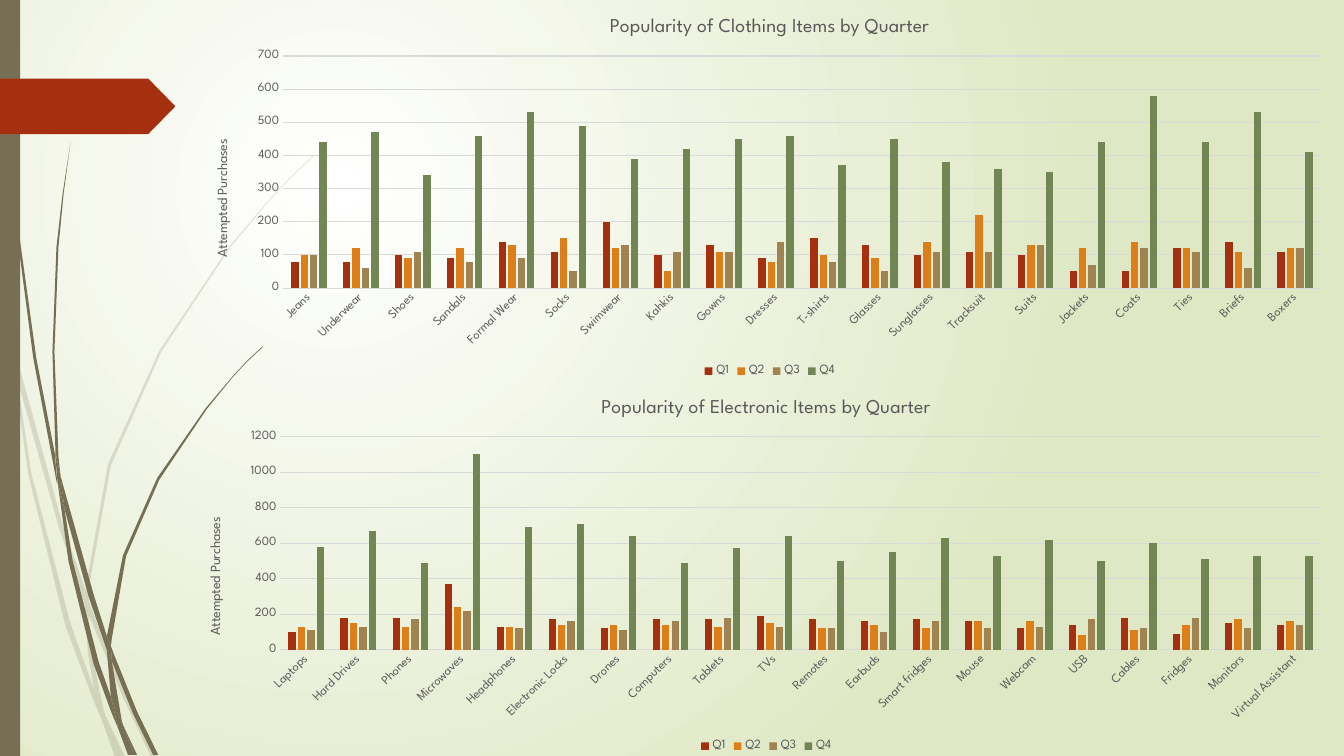
from lxml.etree import SubElement
from pptx import Presentation
from pptx.chart.data import CategoryChartData
from pptx.dml.color import RGBColor
from pptx.enum.chart import XL_CHART_TYPE, XL_LEGEND_POSITION, XL_TICK_MARK
from pptx.enum.shapes import MSO_SHAPE
from pptx.oxml import parse_xml
from pptx.oxml.ns import nsdecls, qn
from pptx.util import Inches, Pt

COLORS = {
    "white": "FFFFFF", "pale green": "DFE8C4", "stem": "766F54",
    "red": "A53010", "text": "595959", "grid": "D9D9D9",
    "Q1": "A53010", "Q2": "DE7E18", "Q3": "9F8351", "Q4": "728653",
}

CLOTHING = {
    "Jeans": (80, 100, 100, 440), "Underwear": (80, 120, 60, 470),
    "Shoes": (100, 90, 110, 340), "Sandals": (90, 120, 80, 460),
    "Formal Wear": (140, 130, 90, 530), "Socks": (110, 150, 50, 490),
    "Swimwear": (200, 120, 130, 390), "Kahkis": (100, 50, 110, 420),
    "Gowns": (130, 110, 110, 450), "Dresses": (90, 80, 140, 460),
    "T-shirts": (150, 100, 80, 370), "Glasses": (130, 90, 50, 450),
    "Sunglasses": (100, 140, 110, 380), "Tracksuit": (110, 220, 110, 360),
    "Suits": (100, 130, 130, 350), "Jackets": (50, 120, 70, 440),
    "Coats": (50, 140, 120, 580), "Ties": (120, 120, 110, 440),
    "Briefs": (140, 110, 60, 530), "Boxers": (110, 120, 120, 410),
}
ELECTRONICS = {
    "Laptops": (100, 130, 110, 580), "Hard Drives": (180, 150, 130, 670),
    "Phones": (180, 130, 170, 490), "Microwaves": (370, 240, 220, 1100),
    "Headphones": (130, 130, 120, 690), "Electronic Locks": (170, 140, 160, 710),
    "Drones": (120, 140, 110, 640), "Computers": (170, 140, 160, 490),
    "Tablets": (170, 130, 180, 570), "TVs": (190, 150, 130, 640),
    "Remotes": (170, 120, 120, 500), "Earbuds": (160, 140, 100, 550),
    "Smart fridges": (170, 120, 160, 630), "Mouse": (160, 160, 120, 530),
    "Webcam": (120, 160, 130, 620), "USB": (140, 80, 170, 500),
    "Cables": (180, 110, 120, 600), "Fridges": (90, 140, 180, 510),
    "Monitors": (150, 170, 120, 530), "Virtual Assistant": (140, 160, 140, 530),
}

# Outlines of the pieces that make up each tuft of grass
PALE_GRASS = [
    [(0.11, 3.5), (0.09, 3.22), (0, 2.82), (0, 2.99), (0.1, 3.44)],
    [(0.58, 5.22), (0.84, 5.99), (0.85, 5.86), (0.62, 5.2), (0.14, 3.45), (0.17, 3.76)],
    [(0.92, 6.07), (0.88, 5.96), (0.88, 6.1), (1.23, 6.94), (1.5, 7.51), (1.55, 7.51),
     (1.27, 6.92)],
    [(1.19, 7.51), (1.24, 7.51), (1.05, 7.11)],
    [(0.93, 6.83), (0.7, 6.19), (0.31, 4.69), (0.17, 3.76), (0.11, 3.5), (0.28, 4.7),
     (0.65, 6.21), (0.92, 6.93), (1.01, 7.14), (0.99, 7.07)],
    [(0.84, 5.99), (0.87, 6.46), (0.93, 6.83), (0.96, 6.92), (1.05, 7.11), (1.03, 7.06),
     (0.91, 6.46), (0.88, 6.1), (0.88, 6.08)],
    [(0.88, 5.84), (1.1, 4.62), (1.6, 3.49), (2.29, 2.45), (2.68, 1.98), (2.9, 1.75),
     (3.12, 1.54), (3.12, 1.53), (2.89, 1.75), (2.68, 1.97), (2.28, 2.44), (1.58, 3.48),
     (1.07, 4.61), (0.85, 5.84), (0.85, 5.86), (0.88, 5.96)],
    [(1.01, 7.14), (1.14, 7.51), (1.19, 7.51)],
    [(0.88, 6.08), (0.88, 6.1), (0.88, 5.96), (0.85, 5.86), (0.84, 5.99)],
    [(0.96, 6.92), (0.93, 6.83), (0.99, 7.07), (1.01, 7.14), (1.19, 7.51), (1.05, 7.11)],
]
DARK_GRASS = [
    [(0.07, 1.1), (0.17, 2.33), (0.33, 3.55), (0.56, 4.77), (0.57, 4.81), (0.55, 4.57),
     (0.55, 4.53), (0.36, 3.55), (0.19, 2.32), (0.08, 1.09), (0.05, 0.48), (0.04, 0),
     (0.03, 0), (0.04, 0.48)],
    [(0.88, 5.92), (1.06, 6.45), (1.06, 6.33), (1.06, 6.31), (0.93, 5.9), (0.6, 4.72),
     (0.64, 5.05)],
    [(1.13, 6.49), (1.1, 6.41), (1.11, 6.56), (1.32, 7.08), (1.52, 7.49), (1.57, 7.49),
     (1.36, 7.06)],
    [(1.1, 6.91), (0.98, 6.57), (0.72, 5.56), (0.64, 5.05), (0.57, 4.77), (0.68, 5.57),
     (0.93, 6.59), (1.11, 7.08), (1.17, 7.22), (1.16, 7.17)],
    [(0.6, 4.72), (0.58, 4.53), (0.54, 3.49), (0.58, 2.45), (0.63, 1.93), (0.7, 1.41),
     (0.62, 1.93), (0.56, 2.45), (0.52, 3.49), (0.55, 4.49)],
    [(1.33, 7.49), (1.36, 7.49), (1.22, 7.19)],
    [(0.57, 4.77), (0.64, 5.05), (0.6, 4.72), (0.55, 4.49), (0.55, 4.53)],
    [(1.11, 6.33), (1.25, 5.52), (1.58, 4.76), (2.05, 4.06), (2.31, 3.74), (2.45, 3.59),
     (2.61, 3.44), (2.6, 3.44), (2.45, 3.58), (2.31, 3.73), (2.04, 4.05), (1.56, 4.74),
     (1.22, 5.51), (1.06, 6.31), (1.1, 6.41)],
    [(1.17, 7.22), (1.27, 7.49), (1.31, 7.49)],
    [(1.06, 6.45), (1.1, 6.91), (1.16, 7.06), (1.22, 7.19), (1.21, 7.16), (1.11, 6.56),
     (1.09, 6.51)],
    [(1.06, 6.45), (1.09, 6.51), (1.11, 6.56), (1.1, 6.41), (1.06, 6.31), (1.06, 6.33)],
    [(1.16, 7.06), (1.1, 6.91), (1.16, 7.17), (1.17, 7.22), (1.3, 7.49), (1.33, 7.49),
     (1.22, 7.19)],
]


class SlideBuilder:
    font_name = "League Spartan"

    def __init__(self, slide):
        self.slide = slide

    def color(self, name):
        return RGBColor.from_string(COLORS[name])

    def style_font(self, font, size):
        font.name = self.font_name
        font.size = Pt(size)
        font.bold = False
        font.color.rgb = self.color("text")

    def paint(self, shape, color):
        shape.shadow.inherit = False
        shape.fill.solid()
        shape.fill.fore_color.rgb = self.color(color)
        shape.line.fill.background()

    def add_background(self, center_color, edge_color):
        fill = self.slide.background.fill
        fill.gradient()
        for stop, color in zip(fill.gradient_stops, (center_color, edge_color)):
            stop.color.rgb = self.color(color)
        linear = next(self.slide.element.iter(qn("a:lin")))
        linear.getparent().replace(linear, parse_xml(
            f'<a:path {nsdecls("a")} path="circle">'
            '<a:fillToRect l="50000" t="50000" r="100000" b="100000"/></a:path>'))

    def add_preset(self, kind, left, top, width, height, color):
        shape = self.slide.shapes.add_shape(
            kind, Inches(left), Inches(top), Inches(width), Inches(height))
        self.paint(shape, color)
        return shape

    def add_outline(self, points, color, opacity):
        start, *others = [(Inches(x), Inches(y)) for x, y in points]
        builder = self.slide.shapes.build_freeform(*start)
        builder.add_line_segments(others, close=True)
        shape = builder.convert_to_shape()
        self.paint(shape, color)
        if opacity < 100:
            fill_color = next(shape.element.spPr.iter(qn("a:srgbClr")))
            SubElement(fill_color, qn("a:alpha"), val=str(opacity * 1000))

    def write_title(self, title, text, size):
        title.text_frame.text = text
        self.style_font(title.text_frame.paragraphs[0].font, size)

    def add_column_chart(self, title, items, left, top, width, height):
        data = CategoryChartData()
        data.categories = list(items)
        for quarter, values in zip(("Q1", "Q2", "Q3", "Q4"), zip(*items.values())):
            data.add_series(quarter, values)
        chart = self.slide.shapes.add_chart(
            XL_CHART_TYPE.COLUMN_CLUSTERED, Inches(left), Inches(top),
            Inches(width), Inches(height), data).chart
        self.style_font(chart.font, 10)
        self.write_title(chart.chart_title, title, 14)
        chart.chart_title.include_in_layout = False

        bars = chart.plots[0]
        bars.gap_width, bars.overlap, bars.vary_by_categories = 219, -27, False
        for series in bars.series:
            series.format.fill.solid()
            series.format.fill.fore_color.rgb = self.color(series.name)

        category_axis, value_axis = chart.category_axis, chart.value_axis
        for axis in (category_axis, value_axis):
            axis.major_tick_mark = axis.minor_tick_mark = XL_TICK_MARK.NONE
            self.style_font(axis.tick_labels.font, 9)
        category_axis._element.txPr.bodyPr.set("rot", "-2700000")
        value_axis.format.line.fill.background()
        for line in (category_axis.format.line, value_axis.major_gridlines.format.line):
            line.color.rgb = self.color("grid")
            line.width = Pt(0.75)
        self.write_title(value_axis.axis_title, "Attempted Purchases", 10)
        value_axis.axis_title.text_frame._txBody.bodyPr.set("rot", "-5400000")

        chart.has_legend = True
        chart.legend.position = XL_LEGEND_POSITION.BOTTOM
        chart.legend.include_in_layout = False
        self.style_font(chart.legend.font, 9)


def main():
    presentation = Presentation()
    presentation.slide_width, presentation.slide_height = Inches(13.33), Inches(7.5)
    builder = SlideBuilder(presentation.slides.add_slide(presentation.slide_layouts[6]))
    builder.add_background("white", "pale green")
    for grass, opacity in ((PALE_GRASS, 20), (DARK_GRASS, 100)):
        for points in grass:
            builder.add_outline(points, "stem", opacity)
    builder.add_preset(MSO_SHAPE.RECTANGLE, 0, 0, 0.2, 7.5, "stem")
    arrow = builder.add_preset(MSO_SHAPE.PENTAGON, 0, 0.78, 1.74, 0.55, "red")
    arrow.adjustments[0] = 0.49
    builder.add_column_chart("Popularity of Electronic Items by Quarter", ELECTRONICS,
                             1.87, 3.78, 11.46, 3.72)
    builder.add_column_chart("Popularity of Clothing Items by Quarter", CLOTHING,
                             1.94, 0, 11.39, 3.78)
    presentation.save("out.pptx")


if __name__ == "__main__":
    main()
